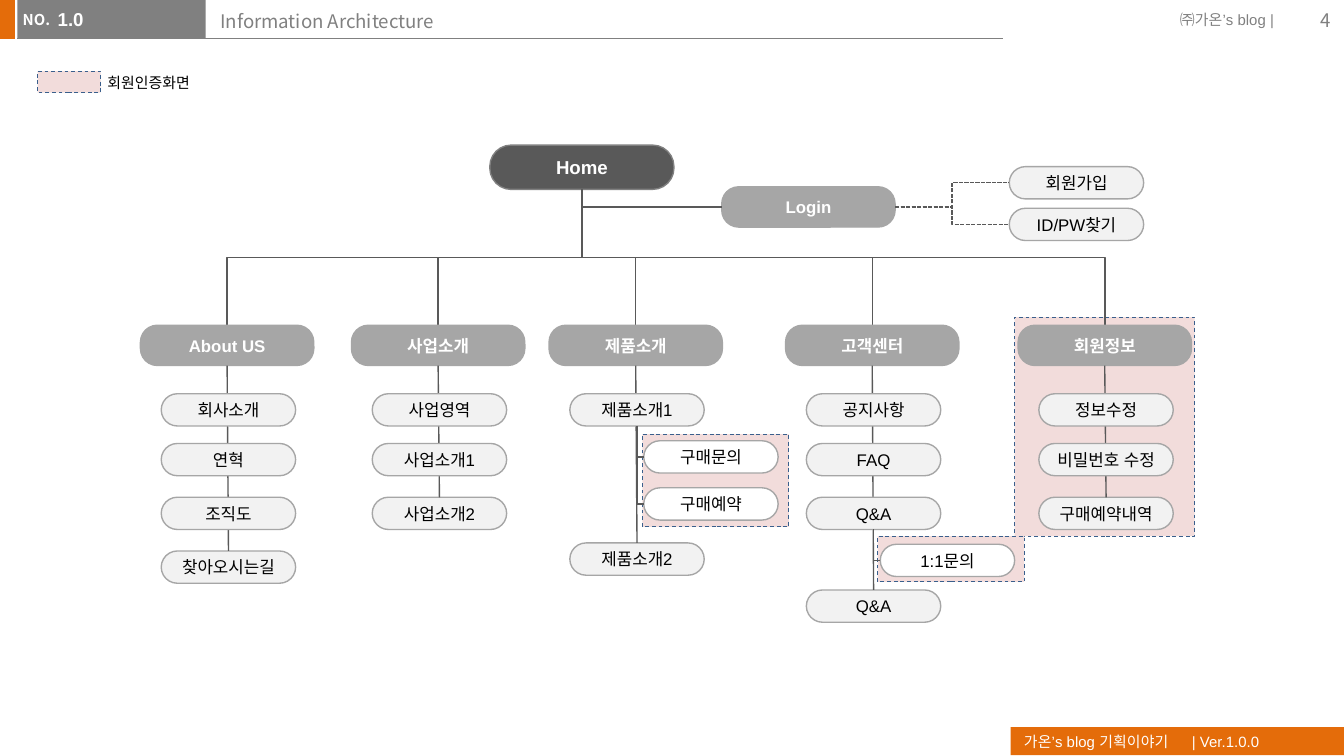
from lxml.etree import SubElement
from pptx import Presentation
from pptx.dml.color import RGBColor
from pptx.enum.dml import MSO_LINE
from pptx.enum.shapes import MSO_CONNECTOR, MSO_SHAPE
from pptx.enum.text import MSO_ANCHOR, MSO_AUTO_SIZE, PP_ALIGN
from pptx.oxml.ns import qn
from pptx.util import Inches, Pt

# Content
TITLE = "Information Architecture"
LABEL, NUMBER, PAGE = "NO.", "1.0", "4"
OWNER = "㈜가온’s blog |"
FOOTER = "가온’s blog 기획이야기\t| Ver.1.0.0"
LEGEND = "회원인증화면"

ROWS = [2.93, 3.3, 3.7, 4.1]
# Menu: centre x, heading, pages as (top, label)
MENUS = [
    (1.69, "About US", list(zip(ROWS, ["회사소개", "연혁", "조직도", "찾아오시는길"]))),
    (3.26, "사업소개", list(zip(ROWS, ["사업영역", "사업소개1", "사업소개2"]))),
    (4.73, "제품소개", [(ROWS[0], "제품소개1"), (4.04, "제품소개2")]),
    (6.49, "고객센터", list(zip(ROWS, ["공지사항", "FAQ", "Q&A"])) + [(4.39, "Q&A")]),
    (8.22, "회원정보", list(zip(ROWS, ["정보수정", "비밀번호 수정", "구매예약내역"]))),
]
# Subpages: parent centre x, parent top, top, label
SUBPAGES = [(4.74, ROWS[0], 3.28, "구매문의"), (4.74, ROWS[0], 3.63, "구매예약"),
            (6.5, ROWS[2], 4.05, "1:1문의")]
LOGIN_PAGES = [(1.24, "회원가입"), (1.55, "ID/PW찾기")]
MEMBER_AREAS = [(7.55, 2.36, 1.34, 1.63), (6.53, 3.99, 1.09, 0.34),
                (4.78, 3.23, 1.09, 0.69), (0.28, 0.53, 0.47, 0.16)]

# Style
LATIN, KOREAN = "Arial", "Noto Sans CJK KR"
ORANGE, GRAY, DARK, MID, PALE = "E46C0A", "808080", "595959", "A6A6A6", "F2F2F2"
WHITE, BLACK, PINK, NAVY = "FFFFFF", "000000", "F2DCDB", "3A5F8C"
HEAD_W, HEAD_H, PAGE_W, PAGE_H = 1.29, 0.3, 1, 0.24
HEAD_TOP, HOME_X, HOME_TOP, HOME_W, HOME_H = 2.42, 4.33, 1.08, 1.37, 0.33
LOGIN_X, LOGIN_TOP = 5.37, 1.39

prs = Presentation()
prs.slide_width, prs.slide_height = Inches(10), Inches(10 * 9 / 16)
s = prs.slides.add_slide(prs.slide_layouts[5])


def rgb(value):
    return RGBColor.from_string(value)


def write(sp, text, size, color, font=LATIN, bold=False, align=PP_ALIGN.LEFT,
          anchor=MSO_ANCHOR.TOP, wrap=True):
    tf = sp.text_frame
    tf.text = text
    tf.word_wrap = wrap
    tf.auto_size = MSO_AUTO_SIZE.NONE if wrap else MSO_AUTO_SIZE.SHAPE_TO_FIT_TEXT
    tf.vertical_anchor = anchor
    p = tf.paragraphs[0]
    p.alignment = align
    for r in p.runs:
        r.font.name, r.font.size, r.font.bold = font, Pt(size), bold
        r.font.color.rgb = rgb(color)
        SubElement(r.font._element, qn("a:ea"), typeface=font)
    return p


def textbox(box, text, size, color, **kw):
    sp = s.shapes.add_textbox(*map(Inches, box))
    return sp, write(sp, text, size, color, **kw)


def shape(kind, box, fill, line=None, width=0.75):
    sp = s.shapes.add_shape(kind, *map(Inches, box))
    sp.shadow.inherit = False
    sp.fill.solid()
    sp.fill.fore_color.rgb = rgb(fill)
    if line:
        sp.line.color.rgb = rgb(line)
        sp.line.width = Pt(width)
    else:
        sp.line.fill.background()
    return sp


def pill(box, text, fill=PALE, line=MID, color=BLACK, size=9, round_by=0.5):
    sp = shape(MSO_SHAPE.ROUNDED_RECTANGLE, box, fill, line)
    sp.adjustments[0] = round_by
    tf = sp.text_frame
    tf.margin_left = tf.margin_right = tf.margin_top = tf.margin_bottom = Inches(0.02)
    p = write(sp, text, size, color, bold=color == WHITE,
              align=PP_ALIGN.CENTER, anchor=MSO_ANCHOR.MIDDLE)
    p.space_before = Pt(1)
    return sp


def heading(left, top, text):
    return pill((left, top, HEAD_W, HEAD_H), text, MID, MID, WHITE, round_by=0.42)


def connect(kind, x1, y1, x2, y2, color=DARK, width=0.75):
    c = s.shapes.add_connector(kind, *map(Inches, (x1, y1, x2, y2)))
    c.line.color.rgb = rgb(color)
    c.line.width = Pt(width)
    SubElement(c._element.spPr, qn("a:effectLst"))
    return c


def join(kind, a, a_side, b, b_side):
    c = connect(kind, 0, 0, 1, 1)
    c.begin_connect(a, a_side)
    c.end_connect(b, b_side)
    return c


def drop(x1, y1, x2, y2, preset="bentConnector3"):
    """Elbow that leaves downwards: a turned horizontal elbow."""
    cx, cy = (x1 + x2) / 2, (y1 + y2) / 2
    half_w, half_h = (y2 - y1) / 2, abs(x2 - x1) / 2
    side = 1 if x2 > x1 else -1
    c = connect(MSO_CONNECTOR.ELBOW, cx + side * half_w, cy - half_h,
                cx - side * half_w, cy + half_h)
    c.rotation = 270 if side > 0 else 90
    c._element.spPr.find(qn("a:prstGeom")).set("prst", preset)


# Header and footer
shape(MSO_SHAPE.RECTANGLE, (-0.01, 0, 0.12, 0.29), ORANGE)
footer = shape(MSO_SHAPE.RECTANGLE, (7.52, 5.41, 2.48, 0.21), ORANGE)
p = write(footer, FOOTER, 8, WHITE, anchor=MSO_ANCHOR.MIDDLE)
tabs = SubElement(p._p.get_or_add_pPr(), qn("a:tabLst"))
SubElement(tabs, qn("a:tab"), pos=str(Inches(1.25)), algn="l")
connect(MSO_CONNECTOR.STRAIGHT, 0.13, 0.29, 7.46, 0.29, GRAY, 0.5)
shape(MSO_SHAPE.RECTANGLE, (0.13, 0, 1.4, 0.29), GRAY)
textbox((0.07, 0.03, 0.41, 0.24), LABEL, 8, WHITE, font=KOREAN, bold=True, wrap=False)
textbox((8.68, 0.03, 0.95, 0.24), OWNER, 8, GRAY, wrap=False)
textbox((9.4, 0, 0.6, 0.3), PAGE, 10, GRAY, font=KOREAN,
        align=PP_ALIGN.RIGHT, anchor=MSO_ANCHOR.MIDDLE)
sp, p = textbox((0.43, 0.01, 1.1, 0.31), NUMBER, 10, WHITE, bold=True)
sp.text_frame.margin_left = sp.text_frame.margin_right = 0
p.space_before = Pt(2)

title = s.shapes.title
title.left, title.top, title.width, title.height = map(Inches, (1.54, 0.02, 5.91, 0.32))
write(title, TITLE, 10, GRAY, font=KOREAN)

# Member-only areas and their legend
for box in MEMBER_AREAS:
    area = shape(MSO_SHAPE.RECTANGLE, box, PINK, NAVY, 0.5)
    area.line.dash_style = MSO_LINE.DASH
textbox((0.7, 0.5, 0.88, 0.24), LEGEND, 8, BLACK, font=KOREAN, wrap=False)

# Home and login
pill((HOME_X - HOME_W / 2, HOME_TOP, HOME_W, HOME_H), "Home", DARK, GRAY, WHITE, 10, 0.48)
home_bottom = HOME_TOP + HOME_H
login = heading(LOGIN_X, LOGIN_TOP, "Login")
drop(HOME_X, home_bottom, LOGIN_X, LOGIN_TOP + HEAD_H / 2, "bentConnector2")
for top, text in LOGIN_PAGES:
    page = pill((7.51, top, PAGE_W, PAGE_H), text)
    elbow = join(MSO_CONNECTOR.ELBOW, login, 3, page, 1)
    elbow.line.dash_style = MSO_LINE.SQUARE_DOT

# Menu columns: the line to the last page runs behind the pages between
for x, name, pages in MENUS:
    drop(HOME_X, home_bottom, x, HEAD_TOP)
    head = heading(x - HEAD_W / 2, HEAD_TOP, name)
    for i, (top, text) in enumerate(reversed(pages)):
        page = pill((x + 0.01 - PAGE_W / 2, top, PAGE_W, PAGE_H), text)
        if i == 0:
            join(MSO_CONNECTOR.STRAIGHT, head, 2, page, 0)

# Subpages
for x, parent_top, top, text in SUBPAGES:
    pill((x + 0.05, top, PAGE_W, PAGE_H), text, WHITE)
    drop(x, parent_top + PAGE_H, x + 0.05, top + PAGE_H / 2, "bentConnector2")

prs.save("out.pptx")
